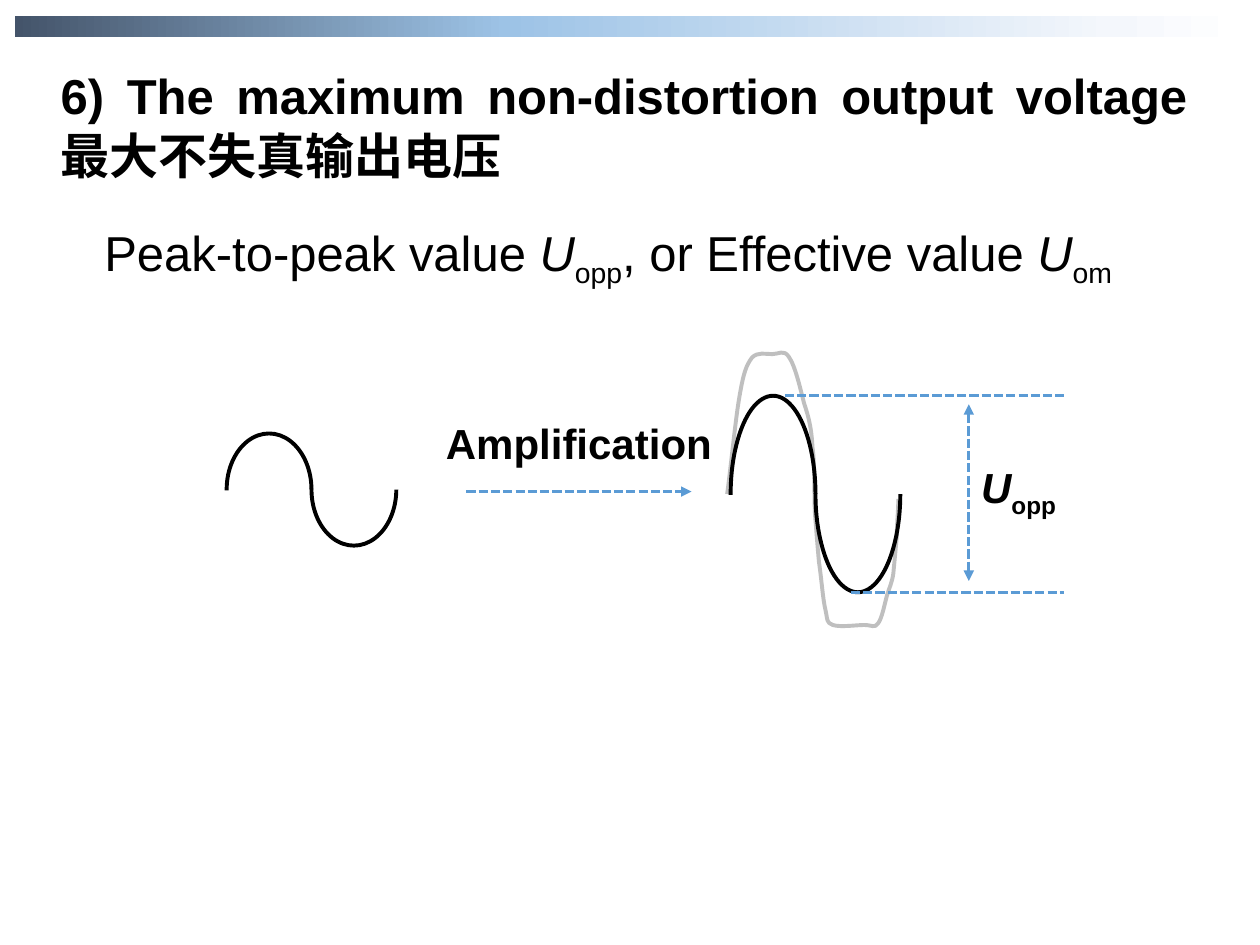
from dataclasses import dataclass
from copy import deepcopy
from itertools import islice

import pptx
import pptx.dml.color
import pptx.enum.dml
import pptx.enum.shapes
import pptx.enum.text
import pptx.oxml
import pptx.oxml.ns
import pptx.util
from lxml import etree

Cm, Pt = pptx.util.Cm, pptx.util.Pt
RGBColor = pptx.dml.color.RGBColor
MSO_SHAPE = pptx.enum.shapes.MSO_SHAPE
qn = pptx.oxml.ns.qn

BLACK = RGBColor(0x00, 0x00, 0x00)
GREY = RGBColor(0xBF, 0xBF, 0xBF)
BLUE = RGBColor(0x5B, 0x9B, 0xD5)
BAR_STOPS = [
    (0, RGBColor(0x44, 0x54, 0x6A)),
    (0.4, RGBColor(0x9D, 0xC3, 0xE6)),
    (0.89, RGBColor(0xF4, 0xF7, 0xFC)),
    (1, RGBColor(0xFF, 0xFF, 0xFF)),
]
LATIN, CJK = "Arial", "Noto Sans CJK SC"
LINE_HEIGHT = 1.21


@dataclass
class Run:
    text: str
    italic: bool = False
    subscript: bool = False
    font: str = LATIN


@dataclass
class Wave:
    left: float
    top: float
    width: float
    height: float


@dataclass
class DashedLine:
    x1: float
    y1: float
    x2: float
    y2: float
    head: bool = False
    tail: bool = False


WAVES = [Wave(14.73, 7.98, 1.71, 3.96), Wave(4.57, 8.74, 1.71, 2.26)]
LINES = [
    DashedLine(9.4, 9.91, 13.94, 9.91, tail=True),
    DashedLine(15.82, 7.98, 21.44, 7.98),
    DashedLine(17.15, 11.94, 21.44, 11.94),
    DashedLine(19.53, 8.15, 19.53, 11.71, head=True, tail=True),
]
# Start point, then three Bezier points per segment, in hundredths of a cm.
CLIPPED_WAVE = [
    (1466, 996),
    (1476, 919), (1483, 843), (1491, 798),
    (1499, 752), (1504, 737), (1516, 721),
    (1527, 709), (1544, 714), (1557, 714),
    (1570, 714), (1580, 704), (1590, 719),
    (1603, 737), (1613, 782), (1621, 813),
    (1631, 843), (1636, 864), (1638, 902),
    (1643, 937), (1641, 996), (1643, 1036),
    (1646, 1074), (1648, 1100), (1651, 1133),
    (1656, 1166), (1659, 1209), (1664, 1229),
    (1669, 1252), (1666, 1255), (1679, 1260),
    (1694, 1265), (1727, 1260), (1742, 1260),
    (1758, 1260), (1763, 1267), (1770, 1257),
    (1778, 1247), (1783, 1219), (1788, 1201),
    (1793, 1184), (1798, 1176), (1801, 1156),
    (1803, 1133), (1806, 1105), (1808, 1080),
    (1808, 1054), (1811, 1029), (1811, 1006),
]


def write(sp, runs: list[Run], *, size: int, bold: bool = False) -> None:
    tf = sp.text_frame
    tf.word_wrap = True
    tf.auto_size = pptx.enum.text.MSO_AUTO_SIZE.NONE
    tf.vertical_anchor = pptx.enum.text.MSO_ANCHOR.TOP
    p = tf.paragraphs[0]
    pPr = p._p.get_or_add_pPr()
    pPr.set("marL", "0")
    pPr.set("indent", "0")
    etree.SubElement(pPr, qn("a:buNone"))
    p.alignment = pptx.enum.text.PP_ALIGN.JUSTIFY
    p.space_before = Pt(0)
    p.line_spacing = Pt(round(size * LINE_HEIGHT))
    for run in runs:
        r = p.add_run()
        r.text = run.text
        r.font.size = Pt(size)
        r.font.bold = bold
        r.font.italic = run.italic
        r.font.color.rgb = BLACK
        r.font.name = run.font
        rPr = r._r.get_or_add_rPr()
        etree.SubElement(rPr, qn("a:ea")).set("typeface", run.font)
        if run.subscript:
            rPr.set("baseline", "-25000")


def place(sp, left: float, top: float, width: float, height: float):
    sp.left, sp.top, sp.width, sp.height = map(Cm, (left, top, width, height))
    return sp


def outline(sp, color: RGBColor) -> None:
    sp.shadow.inherit = False
    sp.fill.background()
    sp.line.color.rgb = color
    sp.line.width = Pt(2.25)


def draw_clipped_wave(shapes) -> None:
    """Outline the control points, then turn each three into a Bezier segment."""
    builder = shapes.build_freeform(*CLIPPED_WAVE[0], scale=Cm(0.01))
    builder.add_line_segments(CLIPPED_WAVE[1:], close=False)
    sp = builder.convert_to_shape()
    outline(sp, GREY)
    path = next(sp._element.iter(qn("a:path")))
    segments = iter(path.findall(qn("a:lnTo")))
    while triple := list(islice(segments, 3)):
        curve = etree.SubElement(path, qn("a:cubicBezTo"))
        for line_to in triple:
            curve.append(line_to[0])
            path.remove(line_to)


def draw_bar(shapes) -> None:
    sp = shapes.add_shape(MSO_SHAPE.RECTANGLE, Cm(0.3), Cm(0.33), Cm(24.8), Cm(0.41))
    sp.shadow.inherit = False
    sp.line.fill.background()
    sp.fill.gradient()
    sp.fill.gradient_angle = 0
    stop_list = next(sp._element.iter(qn("a:gsLst")))
    while len(stop_list) < len(BAR_STOPS):
        stop_list.append(deepcopy(stop_list[0]))
    for stop, (position, color) in zip(sp.fill.gradient_stops, BAR_STOPS):
        stop.position = position
        stop.color.rgb = color


def draw_wave(shapes, wave: Wave) -> None:
    group = shapes.add_group_shape()
    for i in range(2):
        sp = group.shapes.add_shape(
            MSO_SHAPE.ARC, Cm(wave.left + i * wave.width), Cm(wave.top),
            Cm(wave.width), Cm(wave.height))
        sp.adjustments[0] = 107.32
        outline(sp, BLACK)
        if i:
            sp._element.spPr.xfrm.set("flipV", "1")


def draw_line(shapes, line: DashedLine) -> None:
    cxn = shapes.add_connector(
        pptx.enum.shapes.MSO_CONNECTOR.STRAIGHT,
        *map(Cm, (line.x1, line.y1, line.x2, line.y2)))
    cxn.line.color.rgb = BLUE
    cxn.line.width = Pt(1.75)
    cxn.line.dash_style = pptx.enum.dml.MSO_LINE.SQUARE_DOT
    ln = cxn.line._get_or_add_ln()
    for shown, tag in ((line.head, "a:headEnd"), (line.tail, "a:tailEnd")):
        if shown:
            etree.SubElement(ln, qn(tag)).set("type", "triangle")
    etree.SubElement(cxn._element.spPr, qn("a:effectLst"))


def main() -> None:
    prs = pptx.Presentation()
    prs.slide_width, prs.slide_height = Cm(25.4), Cm(19.05)
    slide = prs.slides.add_slide(prs.slide_layouts[1])
    shapes = slide.shapes

    draw_clipped_wave(shapes)
    draw_bar(shapes)
    write(place(shapes.title, 0.97, 1.19, 23.22, 2.64),
          [Run("6) The maximum non-distortion output voltage "),
           Run("最大不失真输出电压", font=CJK)], size=28, bold=True)
    write(place(slide.placeholders[1], 1.85, 4.5, 21.62, 3.15),
          [Run("Peak-to-peak value "), Run("U", italic=True), Run("opp", subscript=True),
           Run(", or Effective value "), Run("U", italic=True),
           Run("om", subscript=True)], size=28)
    for wave in WAVES:
        draw_wave(shapes, wave)
    for line in LINES:
        draw_line(shapes, line)
    write(shapes.add_textbox(Cm(8.74), Cm(8.28), Cm(5.89), Cm(1.27)),
          [Run("Amplification")], size=24, bold=True)
    write(shapes.add_textbox(Cm(19.53), Cm(9.32), Cm(2.59), Cm(1.24)),
          [Run("U", italic=True), Run("opp", subscript=True)], size=24, bold=True)
    prs.save("out.pptx")


if __name__ == "__main__":
    main()
